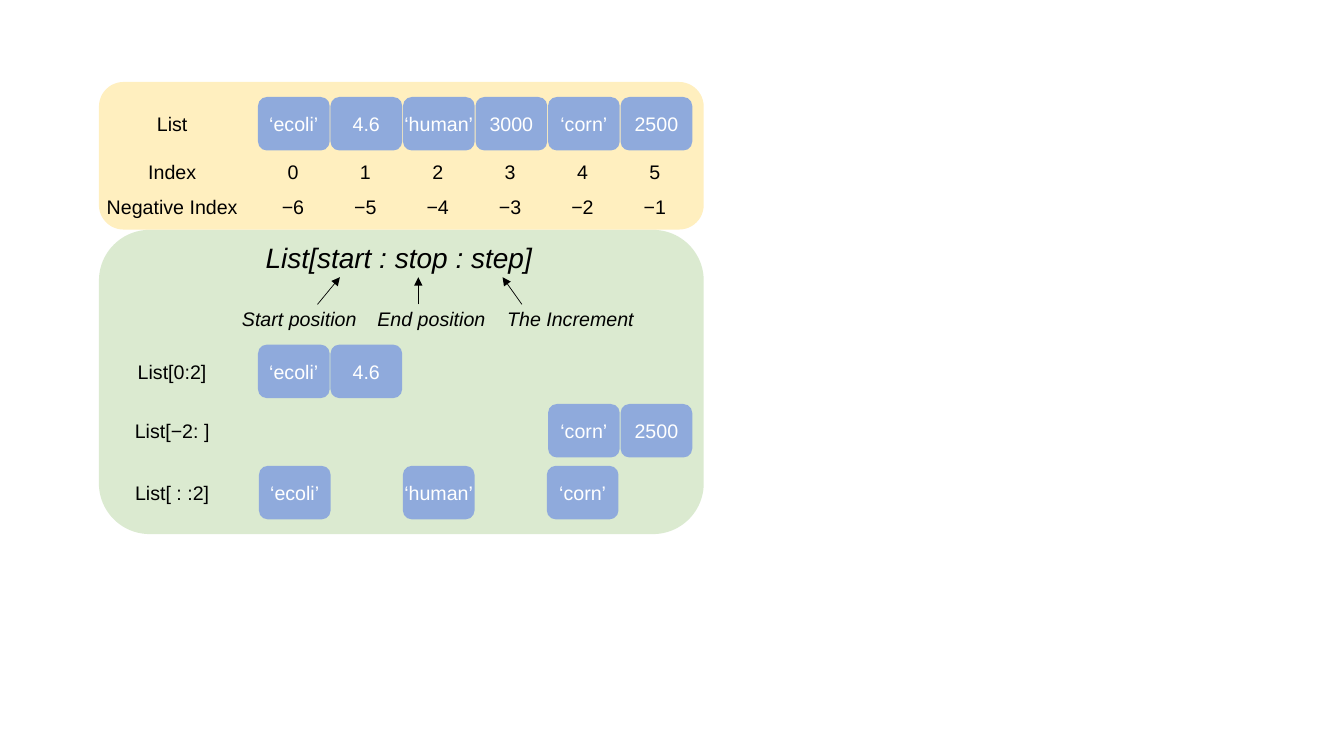
from dataclasses import dataclass

from lxml import etree
from pptx import Presentation
from pptx.dml.color import RGBColor
from pptx.enum.shapes import MSO_CONNECTOR, MSO_SHAPE
from pptx.enum.text import MSO_ANCHOR, PP_ALIGN
from pptx.oxml.ns import qn
from pptx.util import Pt

ROUNDED = MSO_SHAPE.ROUNDED_RECTANGLE
STRAIGHT = MSO_CONNECTOR.STRAIGHT
MIDDLE = MSO_ANCHOR.MIDDLE
CENTER = PP_ALIGN.CENTER


@dataclass(frozen=True)
class Theme:
    font: str = "Arial"
    body_size: float = 14
    title_size: float = 20
    ink: RGBColor = RGBColor(0, 0, 0)
    cell_text: RGBColor = RGBColor(255, 255, 255)
    cell: RGBColor = RGBColor(0x8F, 0xAA, 0xDC)
    list_panel: RGBColor = RGBColor(0xFF, 0xC0, 0x00)
    slice_panel: RGBColor = RGBColor(0x70, 0xAD, 0x47)
    panel_opacity: int = 25


class ListDiagram:
    """Draws the diagram's elements; all lengths are in points."""

    def __init__(self, slide, theme):
        self.shapes = slide.shapes
        self.theme = theme

    def rounded_box(self, left, top, width, height, color):
        shape = self.shapes.add_shape(ROUNDED, Pt(left), Pt(top), Pt(width), Pt(height))
        shape.shadow.inherit = False
        shape.fill.solid()
        shape.fill.fore_color.rgb = color
        shape.line.fill.background()
        return shape

    def panel(self, left, top, width, height, color):
        shape = self.rounded_box(left, top, width, height, color)
        color_element = next(shape._element.spPr.iter(qn("a:srgbClr")))
        alpha = etree.SubElement(color_element, qn("a:alpha"))
        alpha.set("val", str(self.theme.panel_opacity * 1000))

    def set_text(self, shape, text, color, size, italic=False):
        frame = shape.text_frame
        frame.word_wrap = False
        frame.vertical_anchor = MIDDLE
        frame.margin_left = frame.margin_right = 0
        frame.margin_top = frame.margin_bottom = 0
        paragraph = frame.paragraphs[0]
        paragraph.text = text
        paragraph.alignment = CENTER
        paragraph.font.name = self.theme.font
        paragraph.font.size = Pt(size)
        paragraph.font.italic = italic
        paragraph.font.color.rgb = color

    def cell(self, left, top, text):
        shape = self.rounded_box(left, top, CELL_WIDTH, CELL_HEIGHT, self.theme.cell)
        self.set_text(shape, text, self.theme.cell_text, self.theme.body_size)

    def label(self, center_x, center_y, width, text, size=None, italic=False):
        size = size or self.theme.body_size
        height = size * 1.7
        shape = self.shapes.add_textbox(
            Pt(center_x - width / 2), Pt(center_y - height / 2), Pt(width), Pt(height))
        self.set_text(shape, text, self.theme.ink, size, italic)

    def arrow(self, start_x, start_y, end_x, end_y):
        connector = self.shapes.add_connector(
            STRAIGHT, Pt(start_x), Pt(start_y), Pt(end_x), Pt(end_y))
        connector.line.color.rgb = self.theme.ink
        connector.line.width = Pt(0.5)
        properties = connector._element.spPr
        head = etree.SubElement(properties.find(qn("a:ln")), qn("a:tailEnd"))
        head.set("type", "triangle")
        etree.SubElement(properties, qn("a:effectLst"))


# Layout grid
CELL_WIDTH, CELL_HEIGHT = 51.2, 38.2
CELL_LEFT, CELL_PITCH = 184.3, 51.8
LABEL_X = 123
INDEX_X, INDEX_PITCH = 209.3, 51.7
PANEL_LEFT, PANEL_WIDTH = 70.7, 432

# Content
VALUES = ["‘ecoli’", "4.6", "‘human’", "3000", "‘corn’", "2500"]
# label, label width, top, first cell's left, pitch, positions shown
CELL_ROWS = [
    ("List", 37, 69.3, CELL_LEFT, CELL_PITCH, range(6)),
    ("List[0:2]", 64, 246.2, CELL_LEFT, CELL_PITCH, range(2)),
    ("List[−2: ]", 68, 288.6, CELL_LEFT, CELL_PITCH, range(4, 6)),
    ("List[ : :2]", 68, 332.8, 185, 51.4, range(0, 6, 2)),
]
# label, label width, centre, number width, numbers
INDEX_ROWS = [
    ("Index", 49, 122.4, 22, [str(i) for i in range(6)]),
    ("Negative Index", 109, 147.7, 30, [f"−{6 - i}" for i in range(6)]),
]
# text, centre, width, arrow start x, arrow end x
ANNOTATIONS = [
    ("Start position", 213.8, 96, 226.8, 242.8),
    ("End position", 308.2, 92, 298.8, 298.8),
    ("The Increment", 407.5, 105, 372.8, 359),
]


def main():
    presentation = Presentation()
    presentation.slide_width, presentation.slide_height = Pt(960), Pt(540)
    slide = presentation.slides.add_slide(presentation.slide_layouts[6])
    theme = Theme()
    diagram = ListDiagram(slide, theme)

    # Background panels
    diagram.panel(PANEL_LEFT, 164.2, PANEL_WIDTH, 217.3, theme.slice_panel)
    diagram.panel(PANEL_LEFT, 58.6, PANEL_WIDTH, 105.4, theme.list_panel)

    # The list and its slices
    for name, width, top, left, pitch, positions in CELL_ROWS:
        diagram.label(LABEL_X, top + CELL_HEIGHT / 2, width, name)
        for position in positions:
            diagram.cell(left + position * pitch, top, VALUES[position])

    # Index numbers
    for name, width, center_y, number_width, numbers in INDEX_ROWS:
        diagram.label(LABEL_X, center_y, width, name)
        for position, number in enumerate(numbers):
            diagram.label(INDEX_X + position * INDEX_PITCH, center_y, number_width, number)

    # Slice notation with its annotations
    diagram.label(285, 183.8, 211, "List[start : stop : step]", theme.title_size, italic=True)
    for text, center_x, width, start_x, end_x in ANNOTATIONS:
        diagram.label(center_x, 227.5, width, text, italic=True)
        diagram.arrow(start_x, 217.4, end_x, 198)

    presentation.save("out.pptx")


if __name__ == "__main__":
    main()
